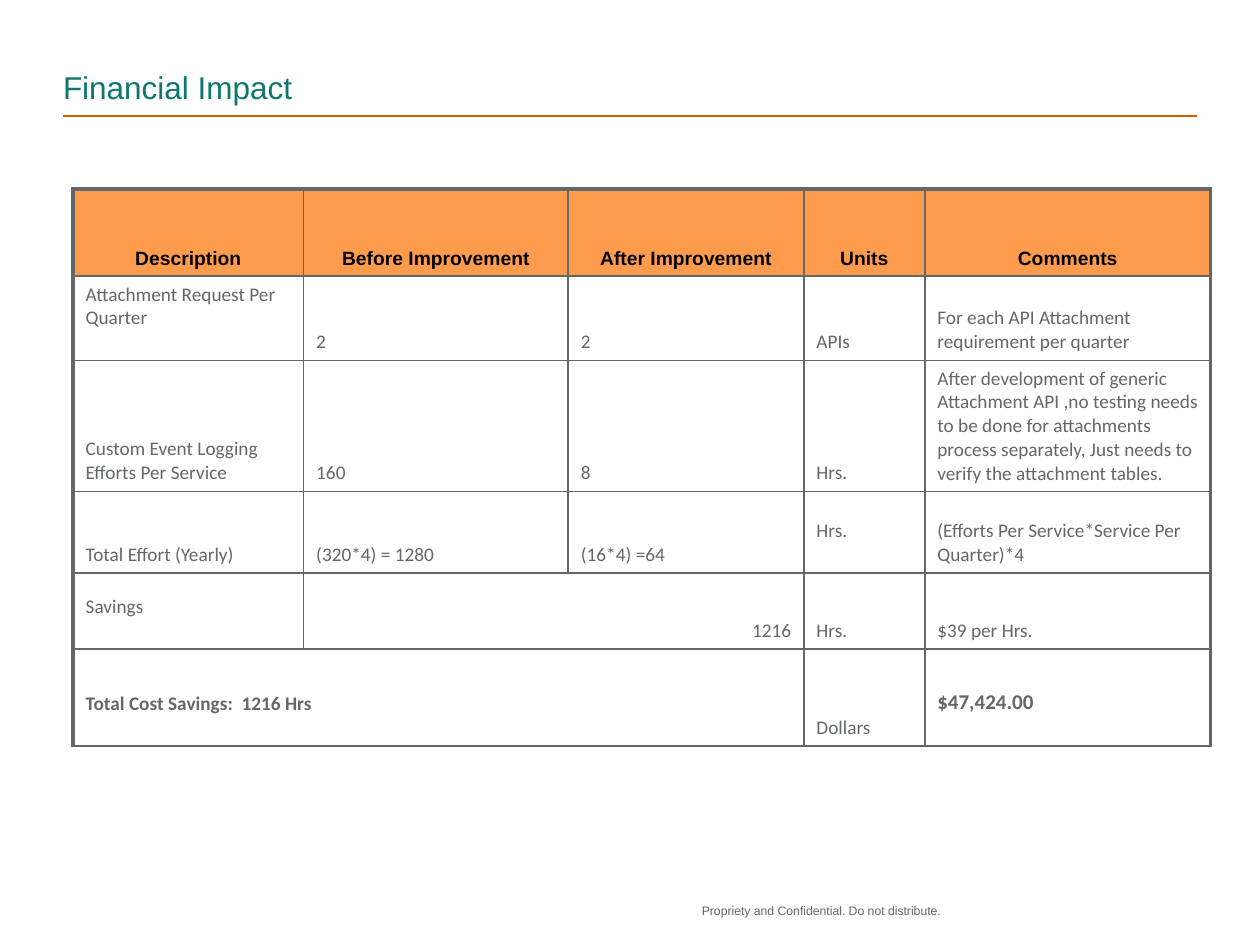
import pptx
import pptx.dml.color
import pptx.enum.shapes
import pptx.enum.text
import pptx.oxml
import pptx.oxml.ns
import pptx.util
from pptx.util import Inches
import lxml.etree

RGBColor = pptx.dml.color.RGBColor
ALIGN = pptx.enum.text.PP_ALIGN
ANCHOR = pptx.enum.text.MSO_ANCHOR
TEAL = RGBColor(0x0D, 0x77, 0x6E)
RUST = RGBColor(0xD4, 0x5D, 0x00)
ORANGE = RGBColor(0xFF, 0x9B, 0x4C)
GRAY = RGBColor(0x63, 0x66, 0x6A)
BLACK = RGBColor(0, 0, 0)


def write_text(frame, text, size=11, font="Calibri", color=GRAY, bold=False,
               align=ALIGN.LEFT, line_spacing=1.0):
    paragraph = frame.paragraphs[0]
    paragraph.alignment = align
    paragraph.line_spacing = line_spacing
    run = paragraph.add_run()
    run.text = text
    run.font.size = pptx.util.Pt(size)
    run.font.name = font
    run.font.bold = bold
    run.font.color.rgb = color


def set_borders(cell, widths):
    properties = cell._tc.get_or_add_tcPr()
    for side, width in widths.items():
        line = lxml.etree.SubElement(properties, pptx.oxml.ns.qn(f"a:ln{side}"),
                                     w=str(pptx.util.Pt(width)))
        fill = lxml.etree.SubElement(line, pptx.oxml.ns.qn("a:solidFill"))
        lxml.etree.SubElement(fill, pptx.oxml.ns.qn("a:srgbClr"), val=str(GRAY))


presentation = pptx.Presentation()
presentation.slide_width = Inches(10)
presentation.slide_height = Inches(7.5)
slide = presentation.slides.add_slide(presentation.slide_layouts[5])

title = slide.shapes.title
title.left, title.top, title.width, title.height = (
    Inches(0.5), Inches(0.17), Inches(9), Inches(0.67))
footer = slide.shapes.add_textbox(Inches(5.57), Inches(7.17), Inches(2.08), Inches(0.25))
for shape in (title, footer):
    frame = shape.text_frame
    frame.margin_left = frame.margin_top = frame.margin_right = frame.margin_bottom = 0
title.text_frame.vertical_anchor = ANCHOR.BOTTOM
title.text_frame.word_wrap = True
footer.text_frame.word_wrap = False
write_text(title.text_frame, "Financial Impact", size=18, font="Arial", color=TEAL)
write_text(footer.text_frame, "Propriety and Confidential. Do not distribute.",
           size=7, font="Arial")

rule = slide.shapes.add_connector(pptx.enum.shapes.MSO_CONNECTOR.STRAIGHT,
                                  Inches(0.5), Inches(0.92), Inches(9.5), Inches(0.92))
rule.line.color.rgb = RUST
rule.line.width = pptx.util.Pt(1)
lxml.etree.SubElement(rule._element.spPr, pptx.oxml.ns.qn("a:effectLst"))

column_widths = [1.83, 2.1, 1.87, 0.96, 2.27]
row_heights = [0.69, 0.67, 1.04, 0.65, 0.6, 0.77]
rows = [
    ["Description", "Before Improvement", "After Improvement", "Units", "Comments"],
    ["Attachment Request Per Quarter", "2", "2", "APIs",
     "For each API Attachment requirement per quarter"],
    ["Custom Event Logging Efforts Per Service", "160", "8", "Hrs.",
     "After development of generic Attachment API ,no testing needs to be done for "
     "attachments process separately, Just needs to verify the attachment tables."],
    ["Total Effort (Yearly)", "(320*4) = 1280", "(16*4) =64", "Hrs.",
     "(Efforts Per Service*Service Per Quarter)*4"],
    ["Savings", "1216", "", "Hrs.", "$39 per Hrs."],
    ["Total Cost Savings:  1216 Hrs", "", "", "Dollars", "$47,424.00"],
]
raised_cells = {(1, 0), (3, 3), (4, 0), (5, 0), (5, 4)}
special_formats = {
    (4, 1): {"align": ALIGN.RIGHT},
    (5, 0): {"bold": True},
    (5, 4): {"bold": True, "size": 12},
}
header_format = {"font": "Arial", "color": BLACK, "bold": True,
                 "align": ALIGN.CENTER, "line_spacing": 0.95}

table = slide.shapes.add_table(len(rows), len(column_widths), Inches(0.58), Inches(1.5),
                               Inches(sum(column_widths)), Inches(sum(row_heights))).table
for column, width in zip(table.columns, column_widths):
    column.width = Inches(width)
for row, height in zip(table.rows, row_heights):
    row.height = Inches(height)
table.cell(4, 1).merge(table.cell(4, 2))
table.cell(5, 0).merge(table.cell(5, 2))

last_column = len(column_widths) - 1
for row_index, texts in enumerate(rows):
    for column_index, text in enumerate(texts):
        cell = table.cell(row_index, column_index)
        position = (row_index, column_index)
        set_borders(cell, {"L": 2.25 if column_index == 0 else 1,
                           "R": 2.25 if column_index == last_column else 1,
                           "T": 2.25 if row_index == 0 else 1,
                           "B": 1})
        cell.vertical_anchor = ANCHOR.BOTTOM
        cell.margin_left = cell.margin_right = Inches(0.1)
        cell.margin_top = Inches(0.05)
        cell.margin_bottom = Inches(0.24 if position in raised_cells else 0.05)
        if row_index == 0:
            cell.fill.solid()
            cell.fill.fore_color.rgb = ORANGE
        else:
            cell.fill.background()
        if text:
            text_format = header_format if row_index == 0 else special_formats.get(position, {})
            write_text(cell.text_frame, text, **text_format)

presentation.save("out.pptx")
